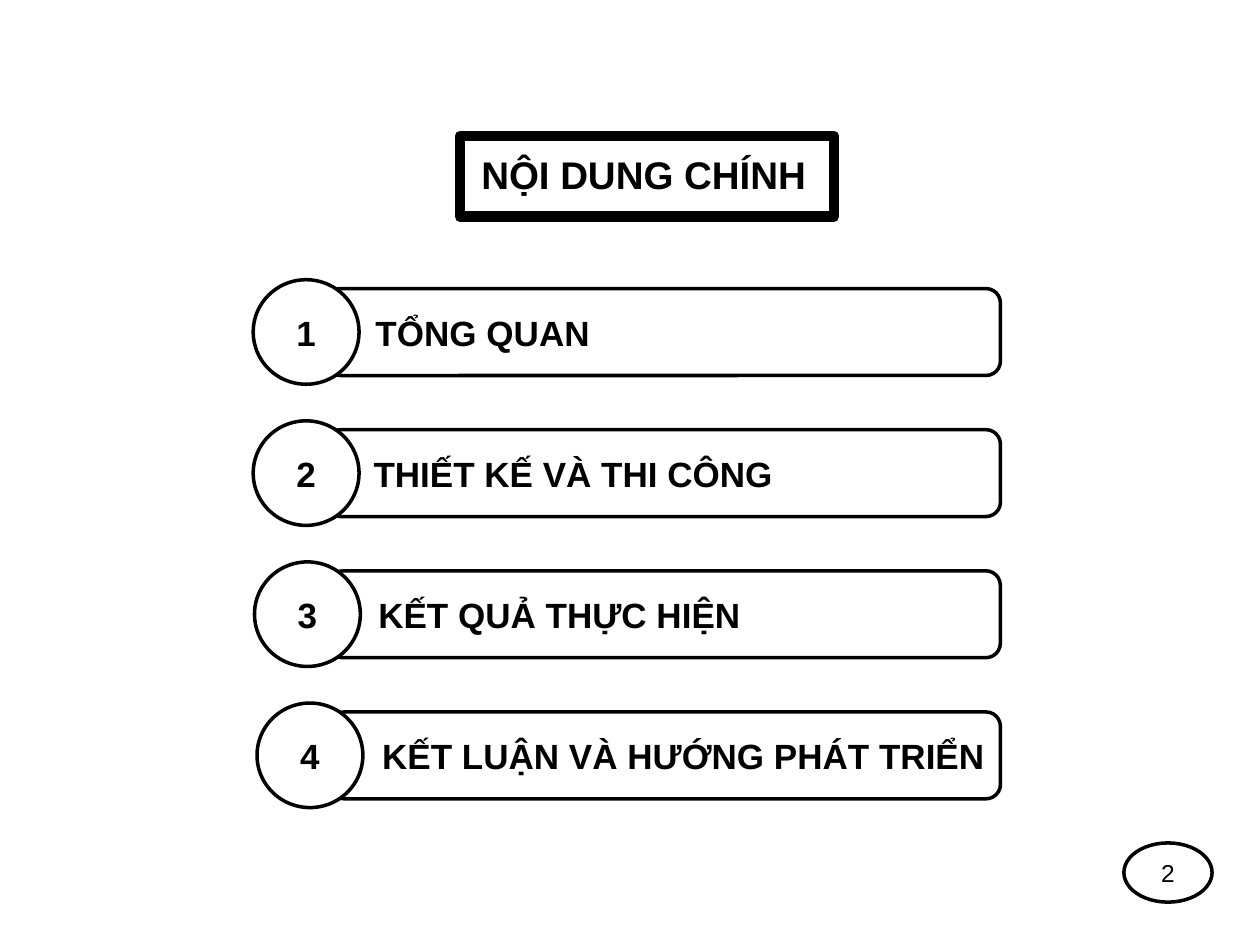
"""Build the contents slide: a framed heading, four numbered bars and a page number."""
from lxml.etree import SubElement
from pptx import Presentation
from pptx.dml.color import RGBColor
from pptx.enum.shapes import MSO_SHAPE as SHAPE
from pptx.enum.text import MSO_ANCHOR as ANCHOR, PP_ALIGN as ALIGN
from pptx.oxml.ns import qn
from pptx.util import Inches, Pt

BLACK = RGBColor(0, 0, 0)
WHITE = RGBColor(255, 255, 255)
FONT = "Arial"

TITLE = "NỘI DUNG CHÍNH"
PAGE = "2"
# label, circle left, bar left, label left, label width
SECTIONS = [
    ("TỔNG QUAN", 2.01, 2.59, 2.87, 1.92),
    ("THIẾT KẾ VÀ THI CÔNG", 2.01, 2.59, 2.85, 3.4),
    ("KẾT QUẢ THỰC HIỆN", 2.02, 2.61, 2.89, 3.1),
    ("KẾT LUẬN VÀ HƯỚNG PHÁT TRIỂN", 2.04, 2.62, 2.91, 5.03),
]
FIRST_TOP, PITCH = 2.22, 1.12
BAR_RIGHT, BAR_H = 7.94, 0.69
CIRCLE_W, CIRCLE_H = 0.84, 0.83
NUMBER_W, TEXT_H = 0.36, 0.44


def write(sp, text, size=20, bold=True, align=ALIGN.CENTER, wrap=False):
    tf = sp.text_frame
    tf.word_wrap = wrap
    tf.vertical_anchor = ANCHOR.MIDDLE
    p = tf.paragraphs[0]
    p.alignment = align
    r = p.add_run()
    r.text = text
    r.font.name, r.font.size, r.font.bold = FONT, Pt(size), bold
    r.font.color.rgb = BLACK
    return tf


def outline(slide, kind, x, y, w, h, weight=2):
    sp = slide.shapes.add_shape(kind, Inches(x), Inches(y), Inches(w), Inches(h))
    sp.shadow.inherit = False
    sp.fill.solid()
    sp.fill.fore_color.rgb = WHITE
    sp.line.color.rgb = BLACK
    sp.line.width = Pt(weight)
    SubElement(sp.line._get_or_add_ln(), qn("a:round"))
    return sp


def textbox(slide, text, x, y, w):
    sp = slide.shapes.add_textbox(Inches(x), Inches(y), Inches(w), Inches(TEXT_H))
    write(sp, text)


def add_heading(slide):
    frame = outline(slide, SHAPE.RECTANGLE, 3.65, 1.08, 2.97, 0.64, weight=6)
    title = slide.shapes.title
    title._element.addprevious(frame._element)
    title.left, title.top = Inches(3.78), Inches(1.15)
    title.width, title.height = Inches(3.3), Inches(0.47)
    tf = write(title, TITLE, size=22, align=ALIGN.JUSTIFY, wrap=True)
    tf.margin_left = tf.margin_right = Inches(0.04)
    tf.margin_top = tf.margin_bottom = Inches(0.02)


def add_section(slide, index, label, circle_x, bar_x, label_x, label_w):
    top = FIRST_TOP + index * PITCH
    middle = top + CIRCLE_H / 2
    text_y = middle - TEXT_H / 2
    outline(slide, SHAPE.ROUNDED_RECTANGLE, bar_x, middle - BAR_H / 2,
            BAR_RIGHT - bar_x, BAR_H)
    textbox(slide, label, label_x, text_y, label_w)
    outline(slide, SHAPE.OVAL, circle_x, top, CIRCLE_W, CIRCLE_H)
    textbox(slide, str(index + 1), circle_x + (CIRCLE_W - NUMBER_W) / 2, text_y, NUMBER_W)


def main():
    prs = Presentation()
    prs.slide_width, prs.slide_height = Inches(10), Inches(7.5)
    slide = prs.slides.add_slide(prs.slide_layouts[5])
    slide.background.fill.solid()
    slide.background.fill.fore_color.rgb = WHITE
    add_heading(slide)
    for index, section in enumerate(SECTIONS):
        add_section(slide, index, *section)
    page = outline(slide, SHAPE.OVAL, 8.92, 6.69, 0.7, 0.47)
    write(page, PAGE, size=14, bold=False)
    prs.save("out.pptx")


if __name__ == "__main__":
    main()
